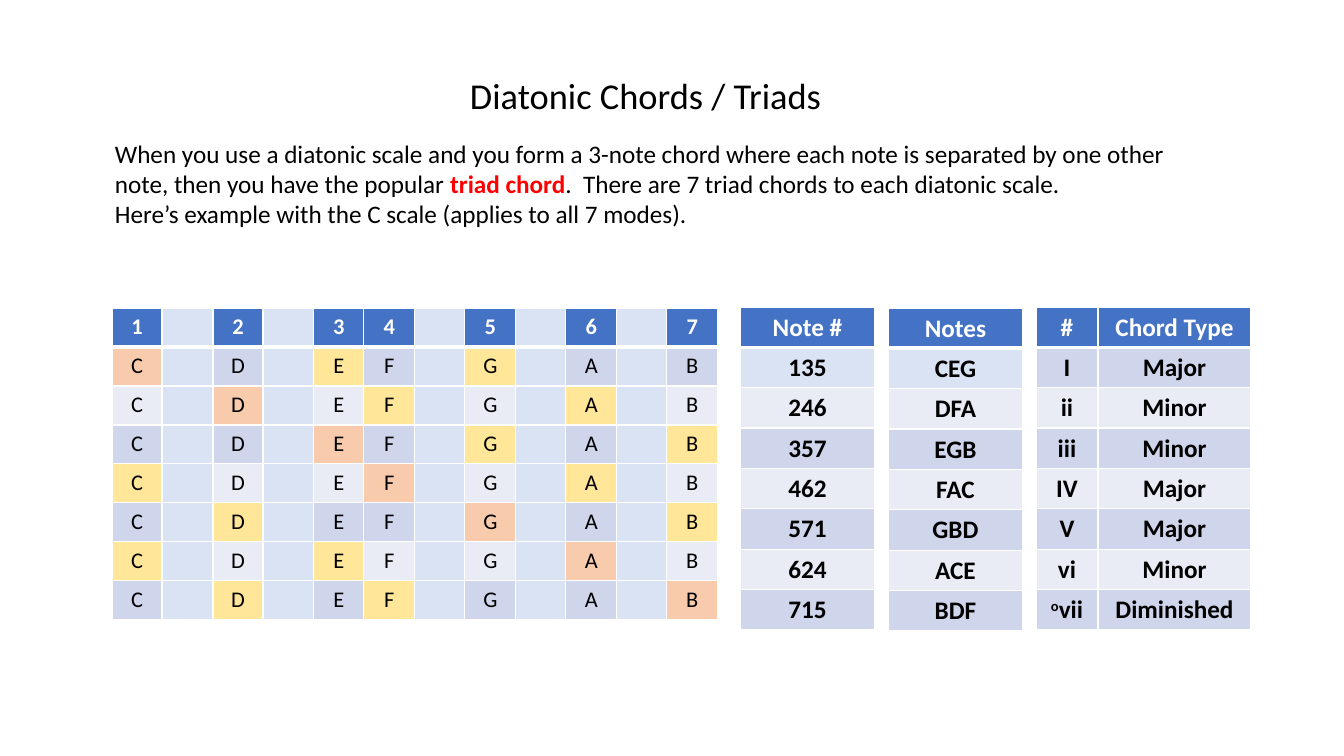
from lxml import etree
from pptx import Presentation
from pptx.dml.color import RGBColor
from pptx.enum.text import MSO_AUTO_SIZE, PP_ALIGN
from pptx.oxml.ns import qn
from pptx.util import Pt

PIXEL = 914400 / 100.8
FONT = "Calibri"
CENTER = PP_ALIGN.CENTER
FIT_SHAPE = MSO_AUTO_SIZE.SHAPE_TO_FIT_TEXT
BLACK = RGBColor(0x00, 0x00, 0x00)
WHITE = RGBColor(0xFF, 0xFF, 0xFF)
RED = RGBColor(0xFF, 0x00, 0x00)
HEADER_BLUE = RGBColor(0x44, 0x72, 0xC4)
PALE_BLUE = RGBColor(0xDA, 0xE3, 0xF3)
BANDS = [RGBColor(0xE9, 0xEB, 0xF5), RGBColor(0xCF, 0xD5, 0xEA)]
ROOT_ORANGE = RGBColor(0xF8, 0xCB, 0xAD)
CHORD_YELLOW = RGBColor(0xFF, 0xE6, 0x99)

presentation = Presentation()
presentation.slide_width = round(1344 * PIXEL)
presentation.slide_height = round(756 * PIXEL)
slide = presentation.slides.add_slide(presentation.slide_layouts[6])


def format_run(run, size, color, bold=False):
    """Set the font, size, colour and weight of a run."""
    run.font.name = FONT
    run.font.size = Pt(size)
    run.font.color.rgb = color
    run.font.bold = bold


def add_grid(left, top, widths, row_height, rows, size, bold, highlights):
    """Add a banded table with white rules; highlights maps (row, column) to a fill."""
    frame = slide.shapes.add_table(
        len(rows), len(widths), round(left * PIXEL), round(top * PIXEL),
        round(sum(widths) * PIXEL), round(row_height * len(rows) * PIXEL))
    table = frame.table
    for column, width in zip(table.columns, widths):
        column.width = round(width * PIXEL)
    for row_index, row in enumerate(rows):
        table.rows[row_index].height = round(row_height * PIXEL)
        is_header = row_index == 0
        for column_index, text in enumerate(row):
            cell = table.cell(row_index, column_index)
            properties = cell._tc.get_or_add_tcPr()
            for side in ("lnL", "lnR", "lnT", "lnB"):
                thick = (row_index, side) in ((0, "lnB"), (1, "lnT"))
                line = etree.SubElement(properties, qn("a:" + side), w=str(Pt(3 if thick else 1)))
                solid = etree.SubElement(line, qn("a:solidFill"))
                etree.SubElement(solid, qn("a:srgbClr"), val=str(WHITE))
            base_fill = HEADER_BLUE if is_header else BANDS[row_index % 2]
            cell.fill.solid()
            cell.fill.fore_color.rgb = highlights.get(
                (row_index, column_index), base_fill if text else PALE_BLUE)
            if not text:
                cell.margin_top = cell.margin_bottom = 0
                continue
            paragraph = cell.text_frame.paragraphs[0]
            paragraph.text = text
            paragraph.alignment = CENTER
            format_run(paragraph.runs[0], size, WHITE if is_header else BLACK, bold or is_header)
    return table


# Title and introduction
title = slide.shapes.add_textbox(*[round(n * PIXEL) for n in (460, 68, 375, 54)])
title.text_frame.text = "Diatonic Chords / Triads"
title.text_frame.word_wrap = False
title.text_frame.auto_size = FIT_SHAPE
format_run(title.text_frame.paragraphs[0].runs[0], 26, BLACK)

introduction = slide.shapes.add_textbox(*[round(n * PIXEL) for n in (105, 133, 1103, 102)])
introduction.text_frame.word_wrap = True
introduction.text_frame.auto_size = FIT_SHAPE
paragraph = introduction.text_frame.paragraphs[0]
paragraph.text = (
    "When you use a diatonic scale and you form a 3-note chord where each note is "
    "separated by one other note, then you have the popular ")
paragraph.add_run().text = "triad chord"
paragraph.add_run().text = ".  There are 7 triad chords to each diatonic scale."
paragraph.add_line_break()
paragraph.add_run().text = "Here’s example with the C scale (applies to all 7 modes)."
for run in paragraph.runs:
    is_key_term = run.text == "triad chord"
    format_run(run, 18, RED if is_key_term else BLACK, is_key_term)

# Scale table: each row marks a root and the two notes stacked on it
SCALE = "CDEFGAB"
note_columns = [0, 2, 4, 5, 7, 9, 11]
degree_row = [""] * 12
scale_row = [""] * 12
for degree, column in enumerate(note_columns):
    degree_row[column] = str(degree + 1)
    scale_row[column] = SCALE[degree]

triads = [[(root + step) % 7 for step in (0, 2, 4)] for root in range(7)]
triad_fills = {}
for row_index, triad in enumerate(triads, start=1):
    for degree, color in zip(triad, (ROOT_ORANGE, CHORD_YELLOW, CHORD_YELLOW)):
        triad_fills[row_index, note_columns[degree]] = color
add_grid(112, 308, [50, 51] * 6, 39, [degree_row] + [scale_row] * 7, 16, False, triad_fills)

# Chord tables
note_numbers = ["Note #", "135", "246", "357", "462", "571", "624", "715"]
note_names = ["Notes"] + ["".join(SCALE[degree] for degree in triad) for triad in triads]
chord_types = [
    ("#", "Chord Type"), ("I", "Major"), ("ii", "Minor"), ("iii", "Minor"),
    ("IV", "Major"), ("V", "Major"), ("vi", "Minor"), ("o", "Diminished")]
first_row_fill = {(1, 0): PALE_BLUE}
add_grid(740, 307, [135], 40, [[text] for text in note_numbers], 18, True, first_row_fill)
add_grid(888, 308, [135], 40, [[text] for text in note_names], 18, True, first_row_fill)
chord_table = add_grid(1036, 307, [62, 153], 40, chord_types, 18, True, {})

# The diminished numeral carries a raised "o"
numeral = chord_table.cell(7, 0).text_frame.paragraphs[0]
numeral.runs[0].font._element.set("baseline", "30000")
numeral.add_run().text = "vii"
format_run(numeral.runs[1], 18, BLACK, True)

presentation.save("out.pptx")
